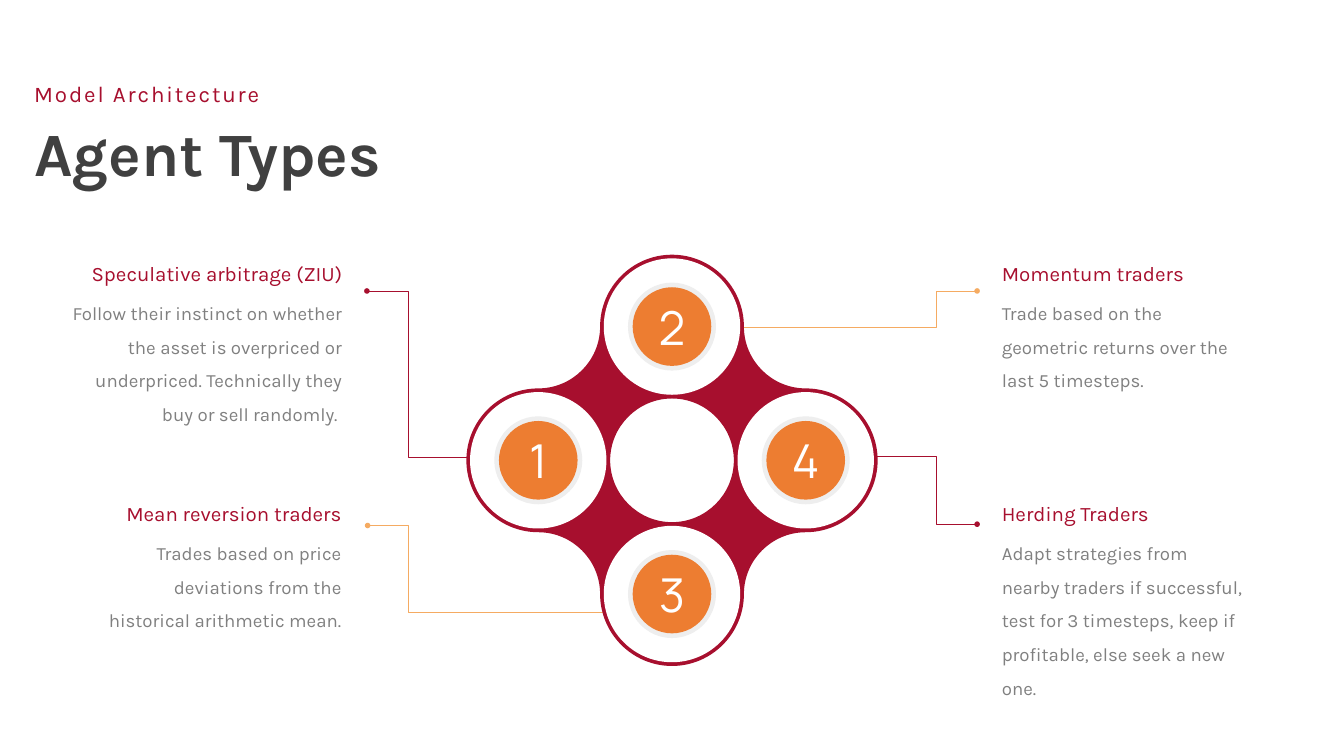
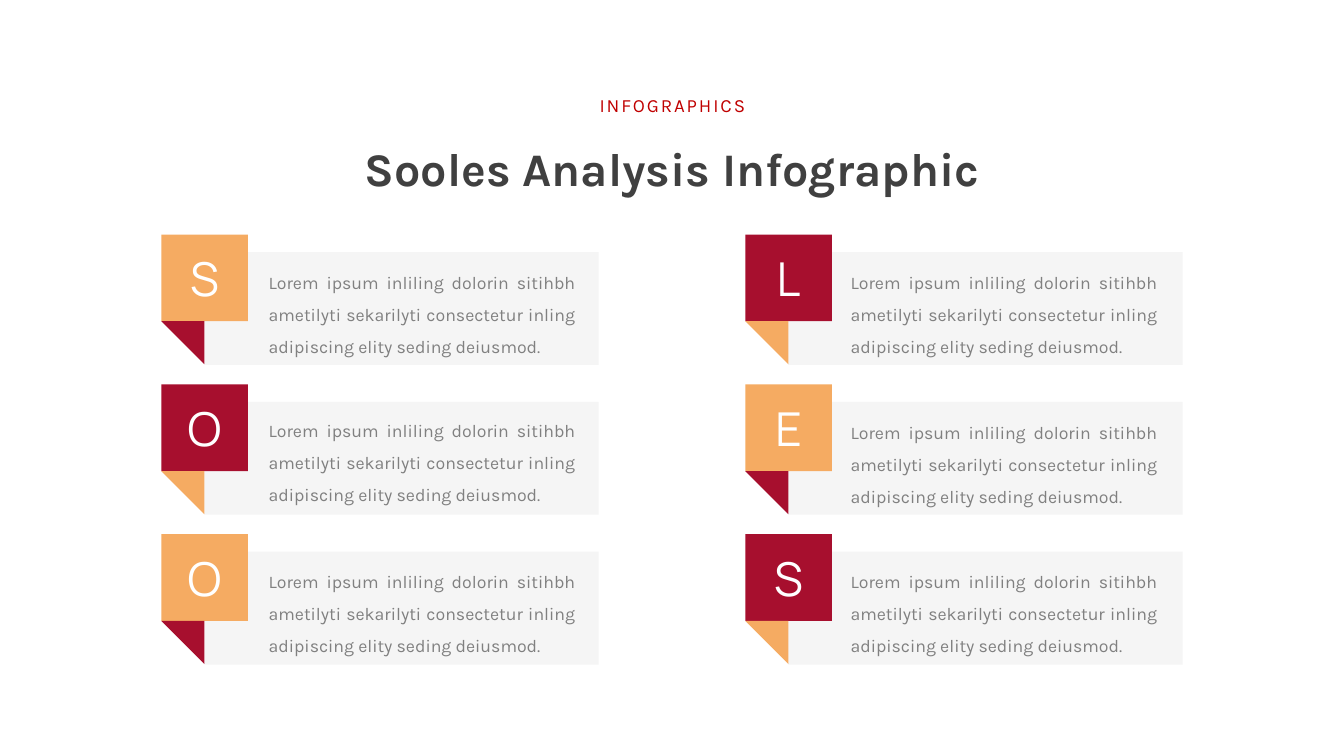
from math import cos, pi, sin
from typing import NamedTuple

from pptx import Presentation
from pptx.dml.color import RGBColor
from pptx.enum.shapes import MSO_SHAPE
from pptx.enum.text import MSO_ANCHOR, MSO_AUTO_SIZE, PP_ALIGN
from pptx.oxml.ns import qn
from pptx.util import Inches, Pt
from lxml.etree import SubElement

# Shared look
CRIMSON, AMBER, ORANGE = "A70F2E", "F5AB62", "ED7D31"
WHITE, PALE, CARD = "FFFFFF", "EEEEEE", "F5F5F5"
INK, GREY, RED = "404040", "808080", "C00000"
TEXT_FONT, SIGN_FONT = "Karla", "Manrope"
LEFT, RIGHT, CENTER, JUSTIFY = PP_ALIGN.LEFT, PP_ALIGN.RIGHT, PP_ALIGN.CENTER, PP_ALIGN.JUSTIFY


class Box(NamedTuple):
    x: float
    y: float
    w: float
    h: float


class Agent(NamedTuple):
    number: str
    name: str
    detail: str
    name_box: Box
    detail_box: Box
    align: PP_ALIGN
    lobe: tuple[int, int]  # grid step from the hub
    wire: list[tuple[float, float]]  # starts at the dot
    wire_color: str


class Column(NamedTuple):
    x: float
    text_x: float
    text_tops: tuple[float, ...]
    letters: str


def rgb(color: str) -> RGBColor:
    return RGBColor.from_string(color)


def inches(box: Box) -> list[int]:
    return [Inches(v) for v in box]


def write(shape, text: str, *, size: float, color: str, font: str = TEXT_FONT,
          align: PP_ALIGN = LEFT, bold: bool = False, line_spacing: float | None = None,
          tracking: float = 0, anchor: MSO_ANCHOR = MSO_ANCHOR.TOP,
          inset: tuple[float, float] = (0.1, 0.05), wrap: bool = True,
          fit: MSO_AUTO_SIZE = MSO_AUTO_SIZE.SHAPE_TO_FIT_TEXT) -> None:
    tf = shape.text_frame
    tf.word_wrap, tf.auto_size, tf.vertical_anchor = wrap, fit, anchor
    tf.margin_left = tf.margin_right = Inches(inset[0])
    tf.margin_top = tf.margin_bottom = Inches(inset[1])
    p = tf.paragraphs[0]
    p.alignment = align
    if line_spacing:
        p.line_spacing = line_spacing
    r = p.add_run()
    r.text = text
    r.font.name, r.font.size, r.font.bold = font, Pt(size), bold
    r.font.color.rgb = rgb(color)
    if tracking:
        r._r.get_or_add_rPr().set("spc", str(int(tracking * 100)))


def add_text(s, box: Box, text: str, **fmt) -> None:
    write(s.shapes.add_textbox(*inches(box)), text, **fmt)


def paint(shape, color: str) -> None:
    shape.shadow.inherit = False
    shape.fill.solid()
    shape.fill.fore_color.rgb = rgb(color)
    shape.line.fill.background()


def add_block(s, kind: MSO_SHAPE, box: Box, color: str, sign: str = ""):
    sp = s.shapes.add_shape(kind, *inches(box))
    paint(sp, color)
    if sign:
        write(sp, sign, size=50, color=WHITE, font=SIGN_FONT, align=CENTER,
              anchor=MSO_ANCHOR.MIDDLE, inset=(0, 0), wrap=False, fit=MSO_AUTO_SIZE.NONE)
    return sp


def add_heading(s, kicker: str, kicker_box: Box, title: str, title_box: Box, *,
                kicker_size: float, kicker_color: str, title_size: float,
                align: PP_ALIGN) -> None:
    sp = s.shapes.title
    sp.left, sp.top, sp.width, sp.height = inches(title_box)
    write(sp, title, size=title_size, color=INK, bold=True, align=align)
    add_text(s, kicker_box, kicker, size=kicker_size, color=kicker_color,
             tracking=2, align=align)


# Agent ring: every arc is centred on a 3 by 3 grid around the hub
HUB_X, HUB_Y = 10, 6.85
STEP, LOBE_R = 1.99, 1.07
GAP_R = STEP - LOBE_R
QUARTER_PULL = 0.55  # Bezier handle of a quarter circle, in radii
LOBE_DISCS = [(2.03, WHITE), (1.31, PALE), (1.17, ORANGE)]


def arc(col: float, row: float, radius: float, start: float, quarters: int,
        turn: int = 1) -> list[tuple[int, int]]:
    """Start point, then two handles and an end for each quarter circle."""
    cx, cy = HUB_X + col * STEP, HUB_Y + row * STEP

    def at(angle: float, pull: float = 0) -> tuple[int, int]:
        a = angle * pi / 180
        return (Inches(cx + radius * (cos(a) - pull * sin(a))),
                Inches(cy + radius * (sin(a) + pull * cos(a))))

    points = [at(start)]
    for i in range(quarters):
        a, b = start + turn * 90 * i, start + turn * 90 * (i + 1)
        points += [at(a, turn * QUARTER_PULL), at(b, -turn * QUARTER_PULL), at(b)]
    return points


def curve(sp) -> None:
    """Join every three line segments into one cubic curve."""
    lines = list(sp._element.iter(qn("a:lnTo")))
    for first, second, third in zip(lines[::3], lines[1::3], lines[2::3]):
        first.tag = qn("a:cubicBezTo")
        for line in (second, third):
            first.append(line[0])
            line.getparent().remove(line)


def add_ring(s) -> None:
    sides = [(0, -1), (1, 0), (0, 1), (-1, 0)]
    outline = arc(*sides[0], LOBE_R, 180, 0)
    for i, (col, row) in enumerate(sides):
        next_col, next_row = sides[(i + 1) % 4]
        outline += arc(col, row, LOBE_R, 90 * i + 180, 2)[1:]
        outline += arc(col + next_col, row + next_row, GAP_R, 90 * i + 180, 1, -1)[1:]
    hole = arc(0, 0, GAP_R, 0, 4, -1)
    fb = s.shapes.build_freeform(*outline[0])
    fb.add_line_segments(outline[1:], close=True)
    fb.move_to(*hole[0])
    fb.add_line_segments(hole[1:], close=True)
    sp = fb.convert_to_shape()
    curve(sp)
    paint(sp, CRIMSON)


def add_wire(s, points: list[tuple[float, float]], color: str) -> None:
    start, *rest = [(Inches(x), Inches(y)) for x, y in points]
    fb = s.shapes.build_freeform(*start)
    fb.add_line_segments(rest, close=False)
    sp = fb.convert_to_shape()
    sp.shadow.inherit = False
    sp.fill.background()
    sp.line.color.rgb = rgb(color)
    sp.line.width = Pt(0.75)
    SubElement(sp.line._get_or_add_ln(), qn("a:headEnd"), type="oval")


def add_lobe(s, agent: Agent) -> None:
    col, row = agent.lobe
    x, y = HUB_X + col * STEP, HUB_Y + row * STEP
    for d, color in LOBE_DISCS:
        sign = agent.number if color == ORANGE else ""
        add_block(s, MSO_SHAPE.OVAL, Box(x - d / 2, y - d / 2, d, d), color, sign)


AGENTS = [
    Agent("2", "Momentum traders",
          "Trade based on the geometric returns over the last 5 timesteps.",
          Box(14.81, 3.83, 3.84, 0.47), Box(14.81, 4.28, 3.84, 1.57), LEFT, (0, -1),
          [(14.54, 4.33), (13.93, 4.33), (13.93, 4.87), (10.93, 4.87)], AMBER),
    Agent("4", "Herding Traders",
          "Adapt strategies from nearby traders if successful, test for 3 timesteps, "
          "keep if profitable, else seek a new one.",
          Box(14.81, 7.41, 3.84, 0.47), Box(14.81, 7.85, 3.84, 2.58), LEFT, (1, 0),
          [(14.54, 7.8), (13.93, 7.8), (13.93, 6.79), (13.05, 6.79)], CRIMSON),
    Agent("3", "Mean reversion traders",
          "Trades based on price deviations from the historical arithmetic mean.",
          Box(1.34, 7.41, 3.84, 0.47), Box(1.34, 7.85, 3.84, 1.57), RIGHT, (0, 1),
          [(5.47, 7.82), (6.07, 7.82), (6.07, 9.11), (9.08, 9.11)], AMBER),
    Agent("1", "Speculative arbitrage (ZIU)",
          "Follow their instinct on whether the asset is overpriced or underpriced. "
          "Technically they buy or sell randomly. ",
          Box(1.05, 3.83, 4.14, 0.47), Box(0.87, 4.28, 4.32, 2.07), RIGHT, (-1, 0),
          [(5.46, 4.33), (6.07, 4.33), (6.07, 6.81), (6.95, 6.81)], CRIMSON),
]


def build_agents(s) -> None:
    add_heading(s, "Model Architecture", Box(0.41, 1.15, 8.28, 0.5),
                "Agent Types", Box(0.41, 1.66, 8.28, 1.21),
                kicker_size=24, kicker_color=CRIMSON, title_size=66, align=LEFT)
    for agent in AGENTS:
        add_wire(s, agent.wire, agent.wire_color)
    add_ring(s)
    for agent in AGENTS:
        add_lobe(s, agent)
        add_text(s, agent.name_box, agent.name, size=22, color=CRIMSON, align=agent.align)
        add_text(s, agent.detail_box, agent.detail, size=20, color=GREY,
                 align=agent.align, line_spacing=1.5)


# Letter cards
COLUMNS = [Column(2.4, 3.9, (3.84, 6.04, 8.29), "SOO"),
           Column(11.09, 12.56, (3.84, 6.07, 8.29), "LES")]
ROW_TOP, ROW_PITCH = 3.49, 2.23
TILE, FOLD = 1.29, 0.64
CARD_TEXT = ("Lorem ipsum inliling dolorin sitihbh ametilyti sekarilyti consectetur "
             "inling adipiscing elity seding deiusmod.")


def add_card(s, x: float, y: float, letter: str, color: str, fold_color: str) -> None:
    add_block(s, MSO_SHAPE.RECTANGLE, Box(x + FOLD, y + 0.26, 5.87, 1.68), CARD)
    add_block(s, MSO_SHAPE.RECTANGLE, Box(x, y, TILE, TILE), color, letter)
    fold = add_block(s, MSO_SHAPE.RIGHT_TRIANGLE, Box(x, y + TILE, FOLD, FOLD), fold_color)
    fold.rotation = 180


def build_sooles(s) -> None:
    add_heading(s, "INFOGRAPHICS", Box(5.06, 1.34, 9.89, 0.44),
                "Sooles Analysis Infographic", Box(5.06, 2.03, 9.89, 0.94),
                kicker_size=20, kicker_color=RED, title_size=50, align=CENTER)
    for c, column in enumerate(COLUMNS):
        for row, (letter, text_top) in enumerate(zip(column.letters, column.text_tops)):
            colors = (AMBER, CRIMSON) if (c + row) % 2 == 0 else (CRIMSON, AMBER)
            add_card(s, column.x, ROW_TOP + row * ROW_PITCH, letter, *colors)
            add_text(s, Box(column.text_x, text_top, 4.76, 1.5), CARD_TEXT, size=19,
                     color=GREY, align=JUSTIFY, line_spacing=1.5)


def main() -> None:
    prs = Presentation()
    prs.slide_width, prs.slide_height = Inches(20), Inches(11.25)
    title_only = prs.slide_layouts[5]
    for build in (build_agents, build_sooles):
        build(prs.slides.add_slide(title_only))
    prs.save("out.pptx")


if __name__ == "__main__":
    main()
